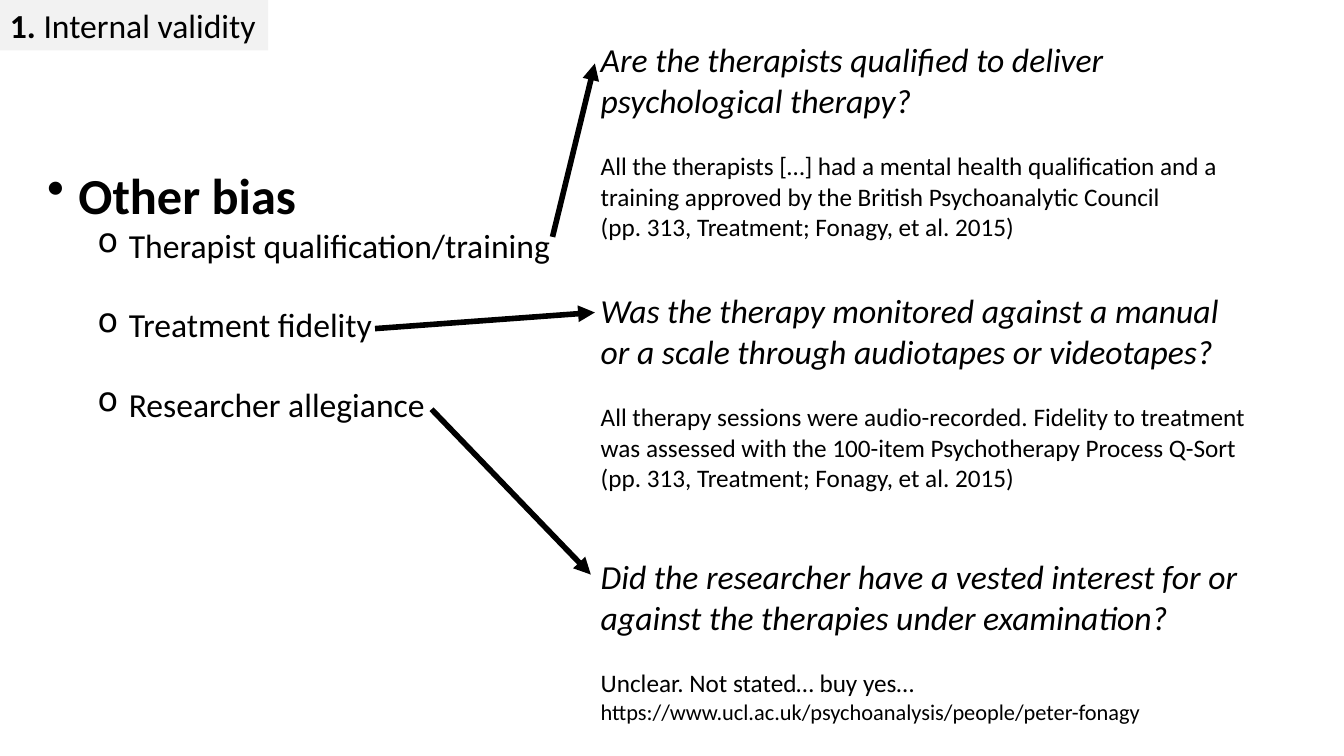
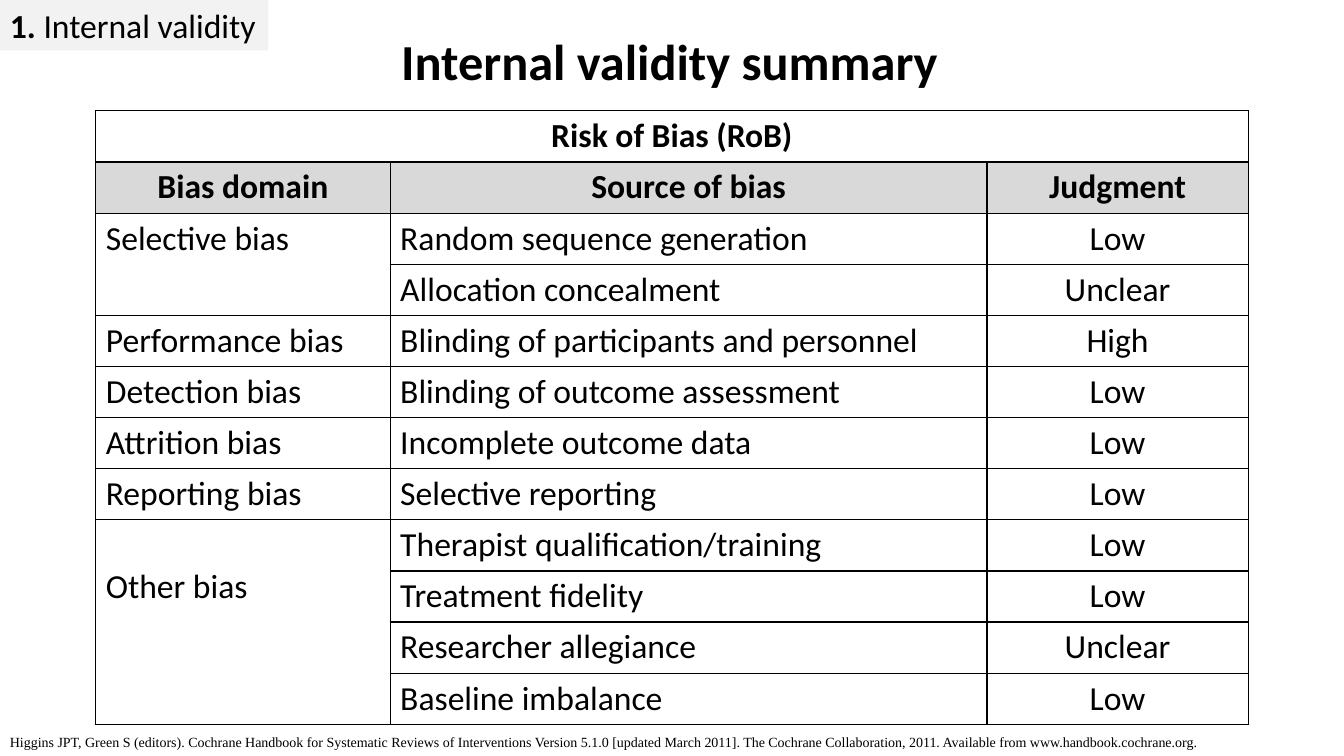
import pptx
import pptx.util
import pptx.dml.color
import pptx.enum.shapes
import pptx.enum.text
import pptx.oxml.ns
from lxml import etree

Inches, Pt = pptx.util.Inches, pptx.util.Pt
ALIGN = pptx.enum.text.PP_ALIGN
COLORS = {"ink": "000000", "tag": "F2F2F2", "header": "D9D9D9"}
FONT = "Calibri"

TAG = [("1. ", True), ("Internal validity", False)]
QUESTION_LEFT, QUESTION_WIDTH = 5.86, 6.67
QUESTIONS = [
    (0.34, 2.12, "Are the therapists qualiﬁed to deliver psychological therapy?", [
        ("All the therapists […] had a mental health qualiﬁcation and a training approved "
         "by the British Psychoanalytic Council", 18),
        ("(pp. 313, Treatment; Fonagy, et al. 2015)", 18)]),
    (2.83, 2.12, "Was the therapy monitored against a manual or a scale through audiotapes "
     "or videotapes?", [
        ("All therapy sessions were audio-recorded. Fidelity to treatment was assessed with "
         "the 100-item Psychotherapy Process Q-Sort (pp. 313, Treatment; Fonagy, et al. 2015)",
         18)]),
    (5.47, 1.78, "Did the researcher have a vested interest for or against the therapies "
     "under examination?", [
        ("Unclear. Not stated… buy yes…", 18),
        ("https://www.ucl.ac.uk/psychoanalysis/people/peter-fonagy", 16)]),
]
BIAS_TITLE = "Other bias"
BIAS_SOURCES = ["Therapist qualiﬁcation/training", "Treatment ﬁdelity", "Researcher allegiance"]
ARROWS = [((5.48, 2.35), (5.9, 0.63)), ((3.72, 3.26), (5.9, 3.1)), ((4.28, 4.06), (5.86, 5.7))]

SUMMARY_TITLE = "Internal validity summary"
TABLE_TITLE = "Risk of Bias (RoB)"
TABLE_HEADER = ["Bias domain", "Source of bias", "Judgment"]
COLUMN_WIDTHS = [2.92, 5.92, 2.59]
ROW_HEIGHT = 0.5
DOMAINS = [
    ("Selective bias", [("Random sequence generation", "Low"),
                        ("Allocation concealment", "Unclear")]),
    ("Performance bias", [("Blinding of participants and personnel", "High")]),
    ("Detection bias", [("Blinding of outcome assessment", "Low")]),
    ("Attrition bias", [("Incomplete outcome data", "Low")]),
    ("Reporting bias", [("Selective reporting", "Low")]),
    (BIAS_TITLE, list(zip(BIAS_SOURCES + ["Baseline imbalance"],
                          ["Low", "Low", "Unclear", "Low"]))),
]
CITATION = ("Higgins JPT, Green S (editors). Cochrane Handbook for Systematic Reviews of "
            "Interventions Version 5.1.0 [updated March 2011]. The Cochrane Collaboration, 2011. "
            "Available from www.handbook.cochrane.org.")


def color(name):
    return pptx.dml.color.RGBColor.from_string(COLORS[name])


def add_xml(parent, tag, **attributes):
    return etree.SubElement(parent, pptx.oxml.ns.qn(tag), attributes)


def style(para, size, bold=False, italic=False, font=FONT):
    para.font.name = font
    para.font.size = Pt(size)
    para.font.bold = bold
    para.font.italic = italic
    para.font.color.rgb = color("ink")


def add_para(frame, text, size, before=0, bullet=None, indent=0, **look):
    para = frame.paragraphs[0]
    if para.runs:
        para = frame.add_paragraph()
        para.space_before = Pt(before)
    if bullet:
        properties = para._p.get_or_add_pPr()
        properties.set("marL", str(Inches(indent)))
        properties.set("indent", str(Inches(-0.31)))
        add_xml(properties, "a:buChar", char=bullet)
    para.add_run().text = text
    style(para, size, **look)


def add_box(page, left, top, width, height):
    box = page.shapes.add_textbox(Inches(left), Inches(top), Inches(width), Inches(height))
    box.text_frame.word_wrap = True
    return box.text_frame


def add_tag(page):
    tag = page.shapes.add_shape(pptx.enum.shapes.MSO_SHAPE.RECTANGLE,
                                0, 0, Inches(2.66), Inches(0.5))
    tag.shadow.inherit = False
    tag.fill.solid()
    tag.fill.fore_color.rgb = color("tag")
    tag.line.fill.background()
    tag.text_frame.word_wrap = False
    para = tag.text_frame.paragraphs[0]
    para.alignment = ALIGN.LEFT
    style(para, 24)
    for text, bold in TAG:
        span = para.add_run()
        span.text = text
        span.font.bold = bold
        span.font.color.rgb = color("ink")


def add_arrow(page, start, end):
    arrow = page.shapes.add_connector(pptx.enum.shapes.MSO_CONNECTOR.STRAIGHT,
                                      *map(Inches, start + end))
    arrow.line.color.rgb = color("ink")
    arrow.line.width = Pt(4)
    add_xml(arrow.line._get_or_add_ln(), "a:tailEnd", type="triangle")
    add_xml(arrow._element.spPr, "a:effectLst")


def frame_cell(cell, fill=None):
    properties = cell._tc.get_or_add_tcPr()
    for side in ("a:lnL", "a:lnR", "a:lnT", "a:lnB"):
        border = add_xml(properties, side, w=str(Pt(1)))
        add_xml(add_xml(border, "a:solidFill"), "a:srgbClr", val=COLORS["ink"])
    if fill:
        cell.fill.solid()
        cell.fill.fore_color.rgb = color(fill)
    else:
        cell.fill.background()


def write_cell(cell, text, centered=False, bold=False):
    add_para(cell.text_frame, text, 24, bold=bold)
    cell.text_frame.paragraphs[0].alignment = ALIGN.CENTER if centered else ALIGN.LEFT


def add_bias_table(page):
    row_count = 2 + sum(len(sources) for _, sources in DOMAINS)
    frame = page.shapes.add_table(row_count, len(COLUMN_WIDTHS), Inches(0.95), Inches(1.1),
                                  Inches(sum(COLUMN_WIDTHS)), Inches(ROW_HEIGHT * row_count))
    table = frame.table
    table.first_row = table.horz_banding = False
    for column, width in zip(table.columns, COLUMN_WIDTHS):
        column.width = Inches(width)
    for row in range(row_count):
        for column in range(len(COLUMN_WIDTHS)):
            frame_cell(table.cell(row, column), "header" if row == 1 else None)
    table.cell(0, 0).merge(table.cell(0, len(COLUMN_WIDTHS) - 1))
    write_cell(table.cell(0, 0), TABLE_TITLE, True, True)
    for column, text in enumerate(TABLE_HEADER):
        write_cell(table.cell(1, column), text, True, True)
    row = 2
    for domain, sources in DOMAINS:
        domain_cell = table.cell(row, 0)
        if len(sources) > 1:
            domain_cell.merge(table.cell(row + len(sources) - 1, 0))
        write_cell(domain_cell, domain)
        if domain == BIAS_TITLE:
            domain_cell.margin_top = Inches(0.46)
        for source, judgment in sources:
            write_cell(table.cell(row, 1), source)
            write_cell(table.cell(row, 2), judgment, True)
            row += 1


def build_other_bias(page):
    for top, height, question, answers in QUESTIONS:
        frame = add_box(page, QUESTION_LEFT, top, QUESTION_WIDTH, height)
        add_para(frame, question, 24, italic=True)
        for index, (answer, size) in enumerate(answers):
            add_para(frame, answer, size, before=0 if index else 22)
    frame = add_box(page, 0.37, 1.58, 5.4, 3.13)
    add_para(frame, BIAS_TITLE, 36, bullet="•", indent=0.31, bold=True)
    for index, source in enumerate(BIAS_SOURCES):
        add_para(frame, source, 24, before=28 if index else 0, bullet="o", indent=0.81)
    for start, end in ARROWS:
        add_arrow(page, start, end)
    add_tag(page)


def build_summary(page):
    add_bias_table(page)
    add_para(add_box(page, 3.88, 0.25, 5.58, 0.71), SUMMARY_TITLE, 36, bold=True)
    add_tag(page)
    add_para(add_box(page, 0, 7.23, 13.33, 0.27), CITATION, 10, font="Times New Roman")


def main():
    deck = pptx.Presentation()
    deck.slide_width, deck.slide_height = Inches(13.33), Inches(7.5)
    for build in (build_other_bias, build_summary):
        build(deck.slides.add_slide(deck.slide_layouts[6]))
    deck.save("out.pptx")


if __name__ == "__main__":
    main()
